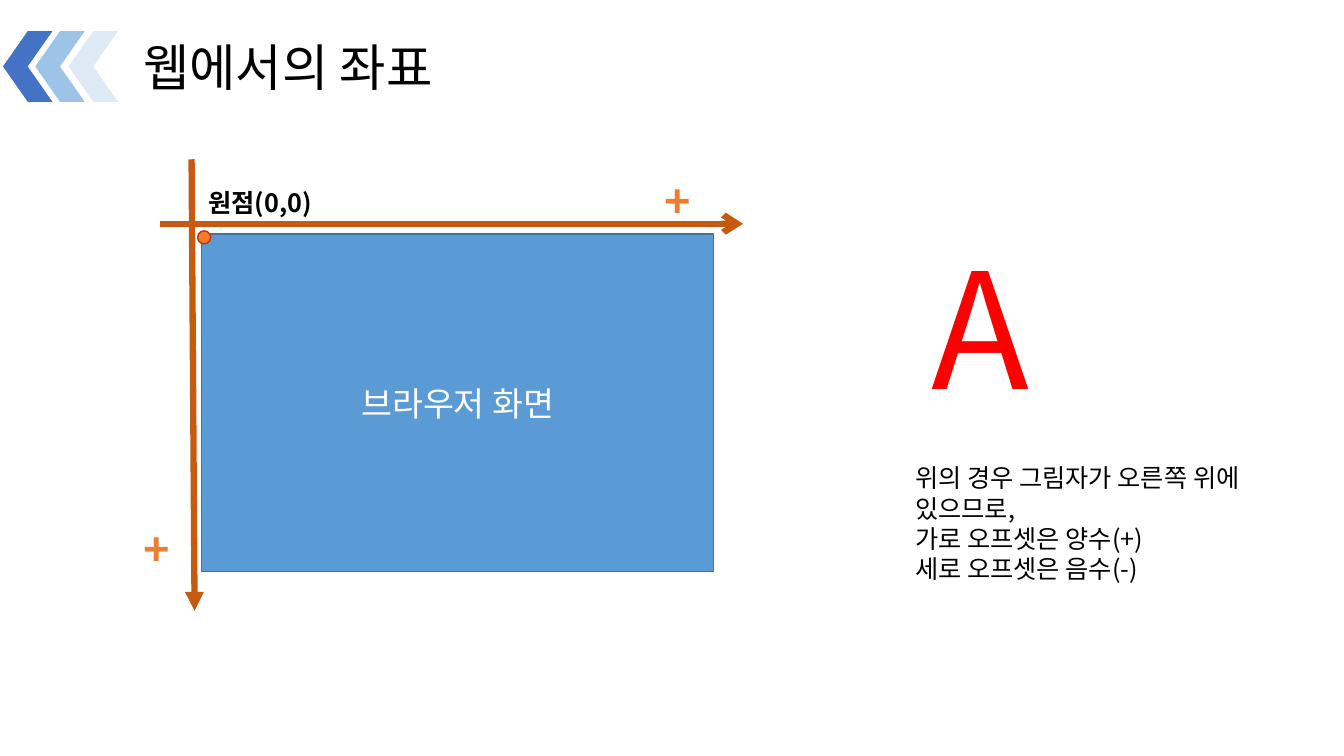
from lxml import etree
from pptx import Presentation
from pptx import util as u
from pptx.dml.color import RGBColor
from pptx.enum import shapes, text
from pptx.oxml.ns import qn

PX = 9144
FONT = "Noto Sans CJK KR"
ORANGE = "ED7D31"
AXIS = "C55A11"


def px(*lengths):
    return [u.Emu(length * PX) for length in lengths]


def color(hex_code):
    return RGBColor.from_string(hex_code)


def write(frame, lines, size, hex_code, bold=False, align=text.PP_ALIGN.LEFT):
    frame.word_wrap = True
    for index, line in enumerate(lines):
        paragraph = frame.add_paragraph() if index else frame.paragraphs[0]
        paragraph.alignment = align
        run = paragraph.add_run()
        run.text = line
        run.font.name = FONT
        run.font.size = u.Pt(size)
        run.font.bold = bold
        run.font.color.rgb = color(hex_code)
        etree.SubElement(run.font._element, qn("a:ea"), typeface=FONT)


def add_label(slide, box, lines, size, hex_code, bold=False):
    label = slide.shapes.add_textbox(*px(*box))
    write(label.text_frame, lines, size, hex_code, bold)


def add_block(slide, kind, box, fill, outline=None):
    block = slide.shapes.add_shape(kind, *px(*box))
    block.shadow.inherit = False
    block.fill.solid()
    block.fill.fore_color.rgb = color(fill)
    if outline:
        block.line.color.rgb = color(outline)
        block.line.width = u.Pt(1)
    else:
        block.line.fill.background()
    return block


def add_axis(slide, start, end, head):
    axis = slide.shapes.add_connector(shapes.MSO_CONNECTOR.STRAIGHT, *px(*start, *end))
    axis.line.color.rgb = color(AXIS)
    axis.line.width = u.Pt(4.5)
    etree.SubElement(axis.line._get_or_add_ln(), qn("a:tailEnd"), type=head)
    etree.SubElement(axis._element.spPr, qn("a:effectLst"))


def add_header(slide, left, top, width, height):
    for index, fill in enumerate(("4472C4", "9DC3E6", "DEEBF7")):
        box = (left + index * 65 // 2, top + 16, 49, 70)
        chevron = add_block(slide, shapes.MSO_SHAPE.CHEVRON, box, fill)
        chevron._element.spPr.find(qn("a:xfrm")).set("flipH", "1")
    title = slide.shapes.title
    title.left, title.top, title.width, title.height = px(left + 129, top, width - 129, height)
    title.text_frame.vertical_anchor = text.MSO_ANCHOR.MIDDLE
    write(title.text_frame, ["웹에서의 좌표"], 36, "000000")
    title.text_frame.paragraphs[0].line_spacing = 0.9


def add_coordinates(slide, left, top, width, height):
    screen = add_block(slide, shapes.MSO_SHAPE.RECTANGLE, (left, top, width, height),
                       "5B9BD5", "43739E")
    screen.text_frame.vertical_anchor = text.MSO_ANCHOR.MIDDLE
    write(screen.text_frame, ["브라우저 화면"], 24, "FFFFFF", align=text.PP_ALIGN.CENTER)
    add_axis(slide, (left - 10, top - 74), (left - 7, top + height + 39), "triangle")
    add_block(slide, shapes.MSO_SHAPE.OVAL, (left - 4, top - 3, 13, 13), ORANGE, "CC3300")
    add_label(slide, (left - 3, top - 51, 130, 42), ["원점(0,0)"], 18, "000000", True)
    for plus_left, plus_top in ((left + width - 59, top - 65), (left - 68, top + height - 54)):
        add_label(slide, (plus_left, plus_top, 112, 64), ["+"], 32, ORANGE, True)
    add_axis(slide, (left - 41, top - 10), (left + width + 29, top - 10), "arrow")


def add_shadow_example(slide, left, top, width, height):
    add_label(slide, (left + 16, top, 217, 204), ["A"], 115, "FF0000")
    explanation = [
        "위의 경우 그림자가 오른쪽 위에 있으므로,",
        "가로 오프셋은 양수(+)",
        "세로 오프셋은 음수(-)",
    ]
    add_label(slide, (left, top + height - 131, width, 131), explanation, 18, "000000")


def main():
    deck = Presentation()
    deck.slide_width, deck.slide_height = px(1333, 750)
    slide = deck.slides.add_slide(deck.slide_layouts[5])
    add_header(slide, 3, 15, 1250, 110)
    add_coordinates(slide, 200, 232, 508, 335)
    add_shadow_example(slide, 898, 222, 359, 363)
    deck.save("out.pptx")


if __name__ == "__main__":
    main()
